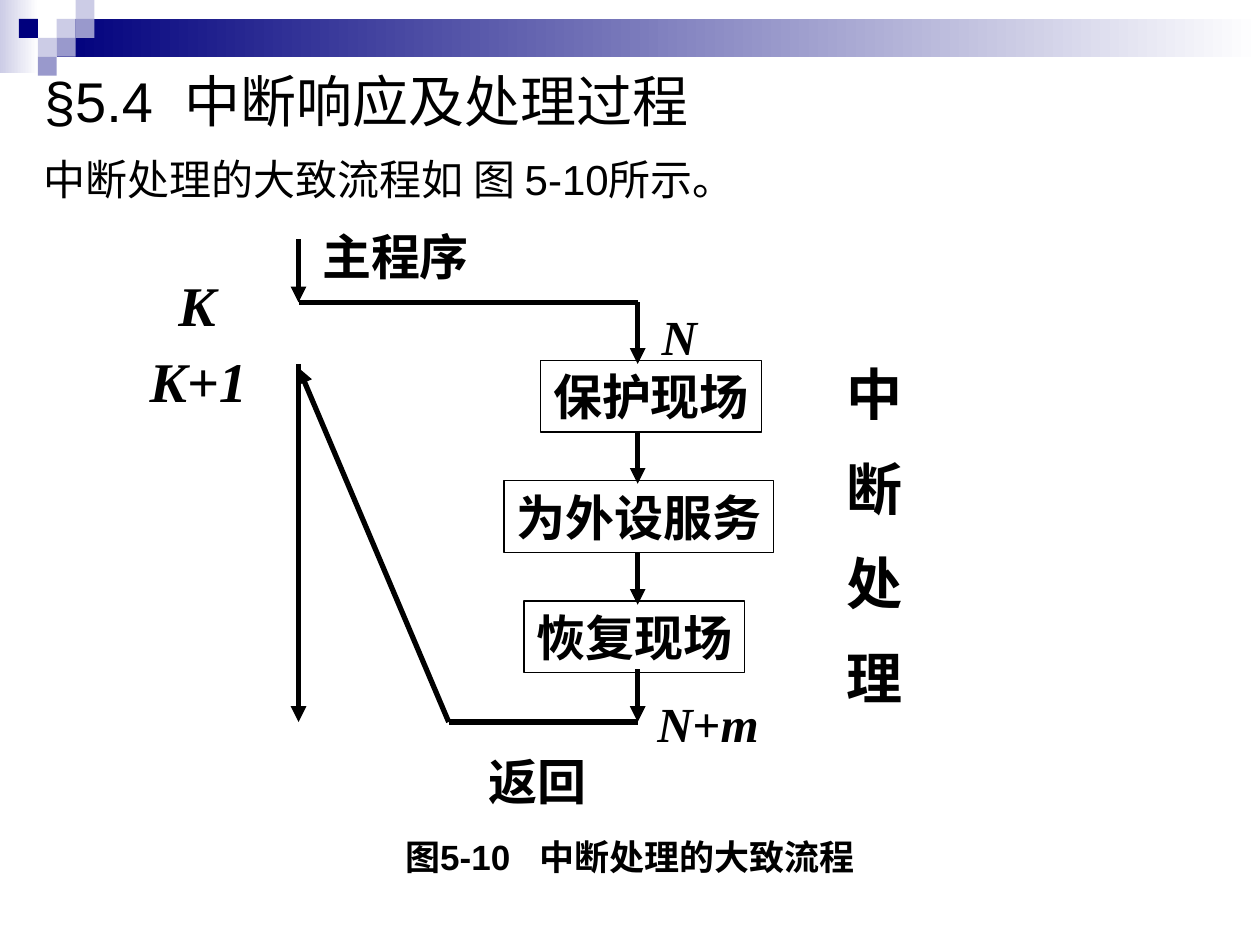
import pptx
import pptx.dml.color
import pptx.enum.shapes
import pptx.enum.text
import pptx.oxml
import pptx.oxml.ns
import pptx.util

Pt = pptx.util.Pt
ALIGN = pptx.enum.text.PP_ALIGN
ANCHOR = pptx.enum.text.MSO_ANCHOR
RECTANGLE = pptx.enum.shapes.MSO_SHAPE.RECTANGLE
STRAIGHT = pptx.enum.shapes.MSO_CONNECTOR.STRAIGHT
SANS, SERIF = "Arial", "Times New Roman"
BLACK, NAVY, LILAC, VIOLET, WHITE = "000000", "00007D", "CCCCE6", "9999CC", "FFFFFF"


def color(value):
    return pptx.dml.color.RGBColor.from_string(value)


def add_xml(parent, tag, **attributes):
    child = pptx.oxml.parse_xml(f"<a:{tag} {pptx.oxml.ns.nsdecls('a')}/>")
    for name, value in attributes.items():
        child.set(name, value)
    parent.append(child)


class SlideBuilder:
    """Draws on one slide; every length is in points."""

    def __init__(self, page):
        self.page = page

    def fill_text(self, box, spans, font=SERIF, size=28, bold=True, align=ALIGN.CENTER,
                  anchor=ANCHOR.MIDDLE, wrap=False, before=0):
        """Each span is (text, italic, extra letter spacing)."""
        frame = box.text_frame
        frame.word_wrap = wrap
        frame.auto_size = pptx.enum.text.MSO_AUTO_SIZE.NONE
        frame.vertical_anchor = anchor
        para = frame.paragraphs[0]
        para.alignment = align
        para.space_before = Pt(before)
        for text, italic, spacing in spans:
            span = para.add_run()
            span.text = text
            span.font.name = font
            span.font.size = Pt(size)
            span.font.bold = bold
            span.font.italic = italic
            span.font.color.rgb = color(BLACK)
            if spacing:
                span.font._element.set("spc", str(round(spacing * 100)))

    def title(self, place, spans):
        box = self.page.shapes.title
        box.left, box.top, box.width, box.height = map(Pt, place)
        self.fill_text(box, spans, SANS, 32, False, ALIGN.LEFT, wrap=True)

    def text(self, place, spans, vertical=False, **style):
        box = self.page.shapes.add_textbox(*map(Pt, place))
        self.fill_text(box, spans, **style)
        if vertical:
            box.text_frame._txBody.bodyPr.set("vert", "eaVert")

    def rectangle(self, place, fill=None, fade_to=None):
        shape = self.page.shapes.add_shape(RECTANGLE, *map(Pt, place))
        shape.shadow.inherit = False
        shape.line.fill.background()
        if fade_to:
            shape.fill.gradient()
            shape.fill.gradient_angle = 0
            for stop, position, value in zip(shape.fill.gradient_stops, (0, 1), (fill, fade_to)):
                stop.position = position
                stop.color.rgb = color(value)
        elif fill:
            shape.fill.solid()
            shape.fill.fore_color.rgb = color(fill)
        else:
            shape.fill.background()
        return shape

    def step(self, place, label):
        shape = self.rectangle(place)
        shape.line.color.rgb = color(BLACK)
        shape.line.width = Pt(0.75)
        self.fill_text(shape, [(label, False, 0)])

    def line(self, start, end, arrow=True):
        line = self.page.shapes.add_connector(STRAIGHT, *map(Pt, start + end))
        line.line.color.rgb = color(BLACK)
        line.line.width = Pt(3)
        if arrow:
            add_xml(line.line._get_or_add_ln(), "tailEnd", type="triangle")
        add_xml(line._element.spPr, "effectLst")


def draw_banner(builder):
    builder.rectangle((0, 0, 22, 42), LILAC, WHITE)
    builder.rectangle((32.4, 10.8, 687.6, 21.6), NAVY, WHITE)
    tile = 10.8
    tiles = [(3, 1, LILAC), (4, 0, LILAC), (4, 1, VIOLET), (2, 2, LILAC),
             (1, 1, NAVY), (3, 2, VIOLET), (2, 3, VIOLET)]
    for column, row, fill in tiles:
        builder.rectangle((column * tile, row * tile, tile, tile), fill)


def draw_flow(builder):
    main_x, service_x, return_x = 170.6, 364.4, 256.4
    call_y, resume_y, end_y = 172.8, 208, 412.6
    first_top, pitch, height = 206, 68.7, 41

    steps = [("保护现场", 309, 126), ("为外设服务", 288, 154), ("恢复现场", 299.5, 126)]
    for index, (label, left, width) in enumerate(steps):
        builder.step((left, first_top + index * pitch, width, height), label)

    builder.line((main_x, 136.8), (main_x, call_y))
    builder.line((main_x, call_y), (service_x, call_y), arrow=False)
    for top, bottom in [(call_y, 208), (246.2, 276.5), (315.4, 345.6), (382.4, end_y)]:
        builder.line((service_x, top), (service_x, bottom))
    builder.line((service_x, end_y), (return_x, end_y), arrow=False)
    builder.line((main_x, resume_y), (main_x, end_y))
    builder.line((return_x, end_y), (main_x, 210.2))

    builder.text((177, 126, 98, 41), [("主程序", False, 0)])
    builder.text((370.8, 171.4, 34.6, 41), [("N", True, 0)])
    builder.text((95, 150.5, 35.3, 46), [("K", True, 0)], size=32)
    builder.text((78.5, 194.4, 69.8, 46), [("K+1", True, 0)], size=32)
    builder.text((368.6, 392.4, 72, 41), [("N", True, 0), ("+", False, 0), ("m", True, 0)])
    builder.text((272, 425.5, 70, 41), [("返回", False, 0)])
    builder.text((472.3, 202.3, 52.6, 201), [("中 断 处 理", False, 7.25)],
                 vertical=True, size=32)


def main():
    deck = pptx.Presentation()
    deck.slide_width, deck.slide_height = Pt(720), Pt(540)
    builder = SlideBuilder(deck.slides.add_slide(deck.slide_layouts[5]))
    draw_banner(builder)
    builder.title((18, 36, 702, 42),
                  [("§5.4", False, 0), (" ", False, 9), ("中断响应及处理过程", False, 0)])
    builder.text((18, 84.2, 702, 36), [("中断处理的大致流程如 图 5-10所示。", False, 0)],
                 font=SANS, size=24, bold=False, align=ALIGN.LEFT, anchor=ANCHOR.TOP,
                 wrap=True, before=6)
    draw_flow(builder)
    builder.text((132, 473.8, 456, 31.5),
                 [("图5-10", False, 0), (" ", False, 11), ("中断处理的大致流程", False, 0)],
                 font=SANS, size=20, anchor=ANCHOR.TOP, wrap=True)
    deck.save("out.pptx")


if __name__ == "__main__":
    main()
